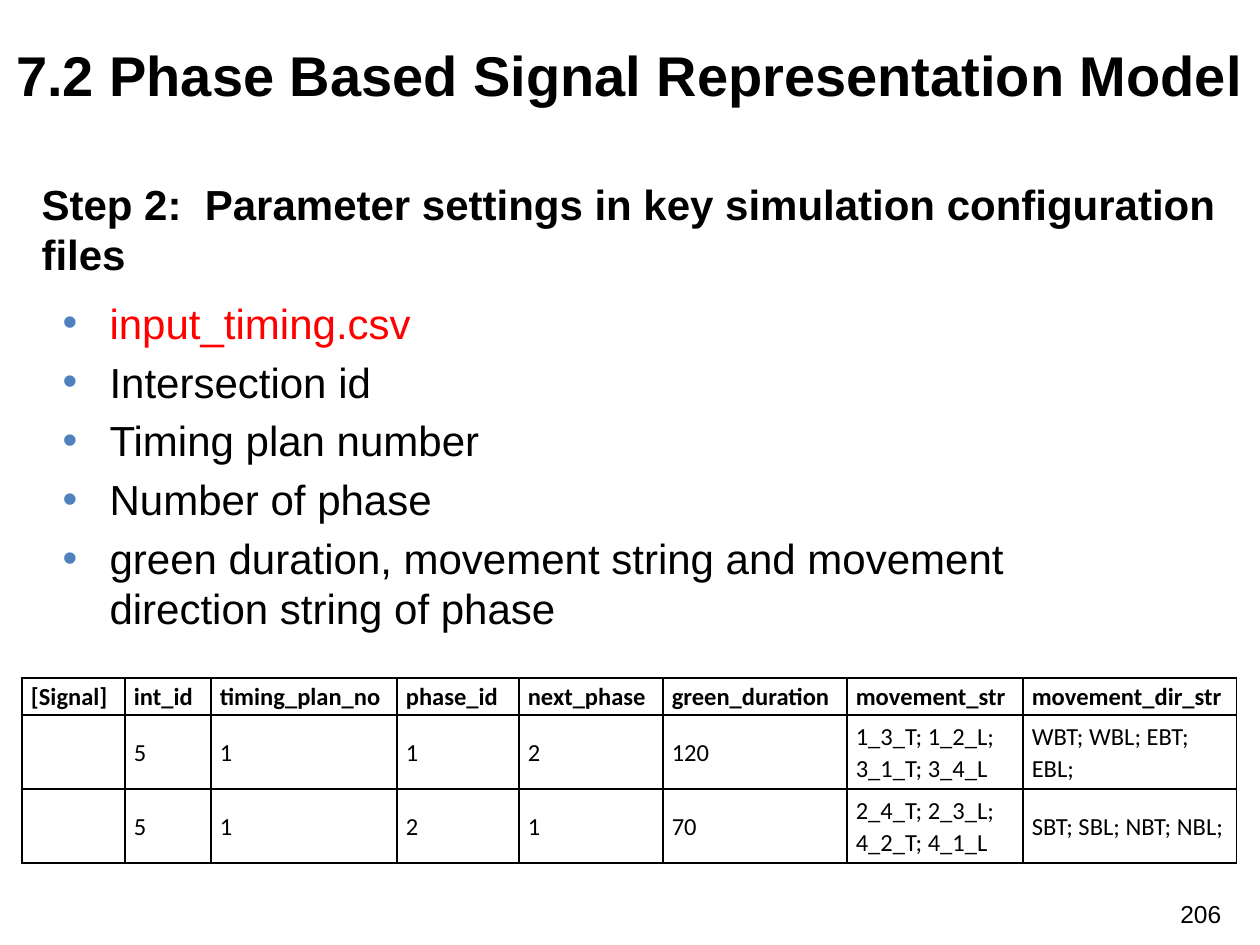
from lxml import etree
from pptx import Presentation
from pptx.dml.color import RGBColor
from pptx.enum.text import MSO_ANCHOR, MSO_AUTO_SIZE, PP_ALIGN
from pptx.oxml.ns import qn
from pptx.util import Pt

PX = 914400 / 126
BLACK = RGBColor(0, 0, 0)
WHITE = RGBColor(255, 255, 255)
RED = RGBColor(255, 0, 0)
BLUE = RGBColor(0x4F, 0x81, 0xBD)
LEFT, CENTER = PP_ALIGN.LEFT, PP_ALIGN.CENTER
TOP, MIDDLE = MSO_ANCHOR.TOP, MSO_ANCHOR.MIDDLE
FIXED = MSO_AUTO_SIZE.NONE


def px(n):
    return round(n * PX)


def style(para, size, color=BLACK, bold=False, face="Arial"):
    font = para.font
    font.name, font.size, font.bold = face, Pt(size), bold
    font.color.rgb = color


prs = Presentation()
prs.slide_width, prs.slide_height = px(1260), px(945)
slide = prs.slides.add_slide(prs.slide_layouts[1])
title, body = slide.shapes.title, slide.placeholders[1]
page = slide.shapes.add_textbox(0, 0, 0, 0)
head = slide.shapes.add_textbox(0, 0, 0, 0)

# Step title, page number and chapter heading
step = "Step 2:  Parameter settings in key simulation configuration files"
chapter = "7.2 Phase Based Signal Representation Model"
for shape, box, text, size, bold, align, anchor in (
    (title, (29, 149, 1216, 159), step, 24, True, LEFT, MIDDLE),
    (page, (1168, 893, 77, 50), "206", 14, False, LEFT, TOP),
    (head, (0, 4, 1260, 141), chapter, 32, True, CENTER, MIDDLE),
):
    shape.left, shape.top, shape.width, shape.height = map(px, box)
    frame = shape.text_frame
    frame.text = text
    frame.word_wrap, frame.auto_size = True, FIXED
    frame.vertical_anchor = anchor
    para = frame.paragraphs[0]
    para.alignment = align
    style(para, size, bold=bold)

# Bullet list
items = (
    "input_timing.csv",
    "Intersection id",
    "Timing plan number",
    "Number of phase",
    "green duration, movement string and movement direction string of phase",
)
body.left, body.top, body.width, body.height = map(px, (50, 291, 1103, 387))
frame = body.text_frame
frame.auto_size = FIXED
frame.text = "\n".join(items)
for i, para in enumerate(frame.paragraphs):
    para.level = 1
    para.space_before = Pt(4.8 if i else 0)
    props = para._p.get_or_add_pPr()
    props.set("marL", str(px(47)))
    props.set("indent", str(px(-47)))
    tint = etree.SubElement(props, qn("a:buClr"))
    etree.SubElement(tint, qn("a:srgbClr"), val=str(BLUE))
    etree.SubElement(props, qn("a:buFont"), typeface="Arial")
    etree.SubElement(props, qn("a:buChar"), char="•")
    style(para, 24, BLACK if i else RED)

# Signal timing table
rows = (
    ("[Signal]", "int_id", "timing_plan_no", "phase_id", "next_phase",
     "green_duration", "movement_str", "movement_dir_str"),
    ("", "5", "1", "1", "2", "120", "1_3_T; 1_2_L; 3_1_T; 3_4_L",
     "WBT; WBL; EBT; EBL;"),
    ("", "5", "1", "2", "1", "70", "2_4_T; 2_3_L; 4_2_T; 4_1_L",
     "SBT; SBL; NBT; NBL;"),
)
widths = (103, 86, 186, 122, 144, 184, 176, 214)
heights = (37, 74, 74)
table = slide.shapes.add_table(
    len(rows), len(widths), px(22), px(678), px(sum(widths)), px(sum(heights))
).table
for col, width in zip(table.columns, widths):
    col.width = px(width)
for r, row in enumerate(rows):
    table.rows[r].height = px(heights[r])
    for c, text in enumerate(row):
        cell = table.cell(r, c)
        cell.text = text
        cell.vertical_anchor = MIDDLE
        cell.margin_left = cell.margin_right = px(9)
        cell.margin_top = cell.margin_bottom = 0
        para = cell.text_frame.paragraphs[0]
        para.line_spacing = 1.07
        style(para, 14, bold=r == 0, face="Calibri")
        props = cell._tc.get_or_add_tcPr()
        for side in ("lnL", "lnR", "lnT", "lnB"):
            line = etree.SubElement(props, qn("a:" + side), w=str(Pt(1)))
            fill = etree.SubElement(line, qn("a:solidFill"))
            etree.SubElement(fill, qn("a:srgbClr"), val=str(BLACK))
        cell.fill.solid()
        cell.fill.fore_color.rgb = WHITE

prs.save("out.pptx")
